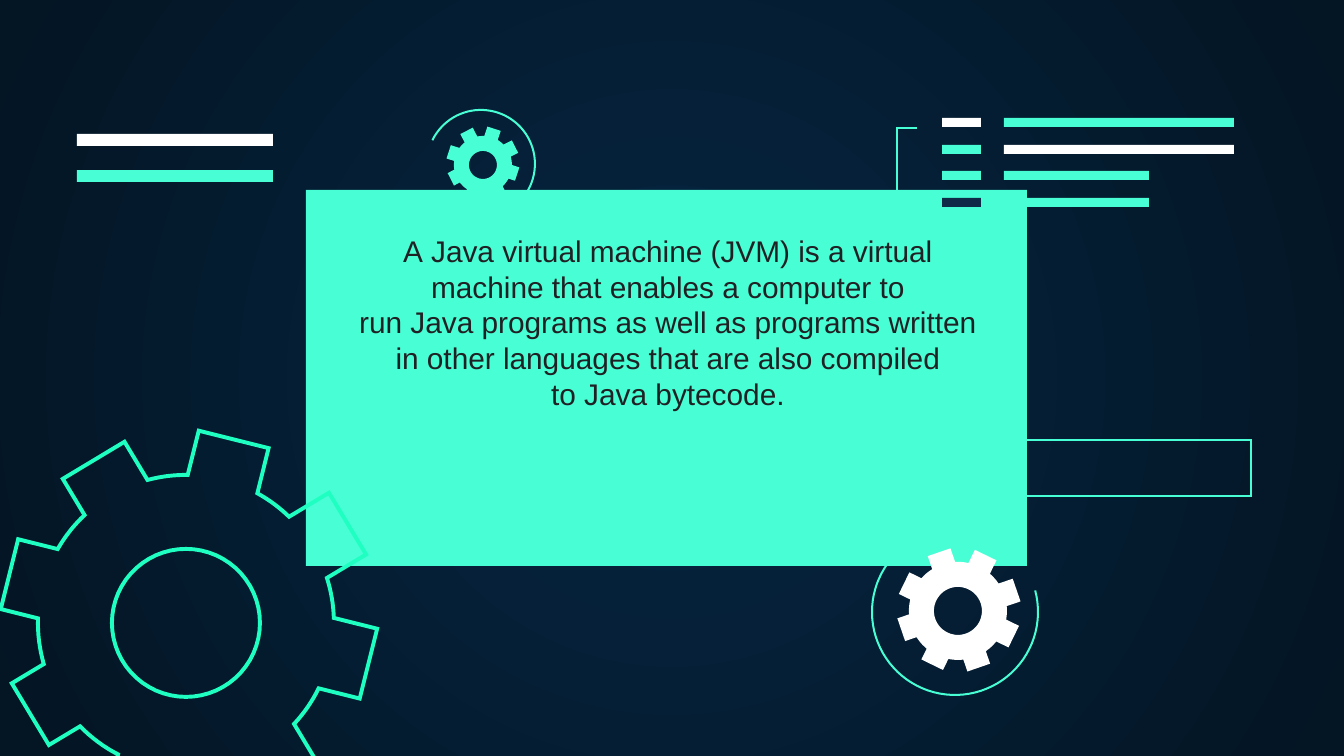
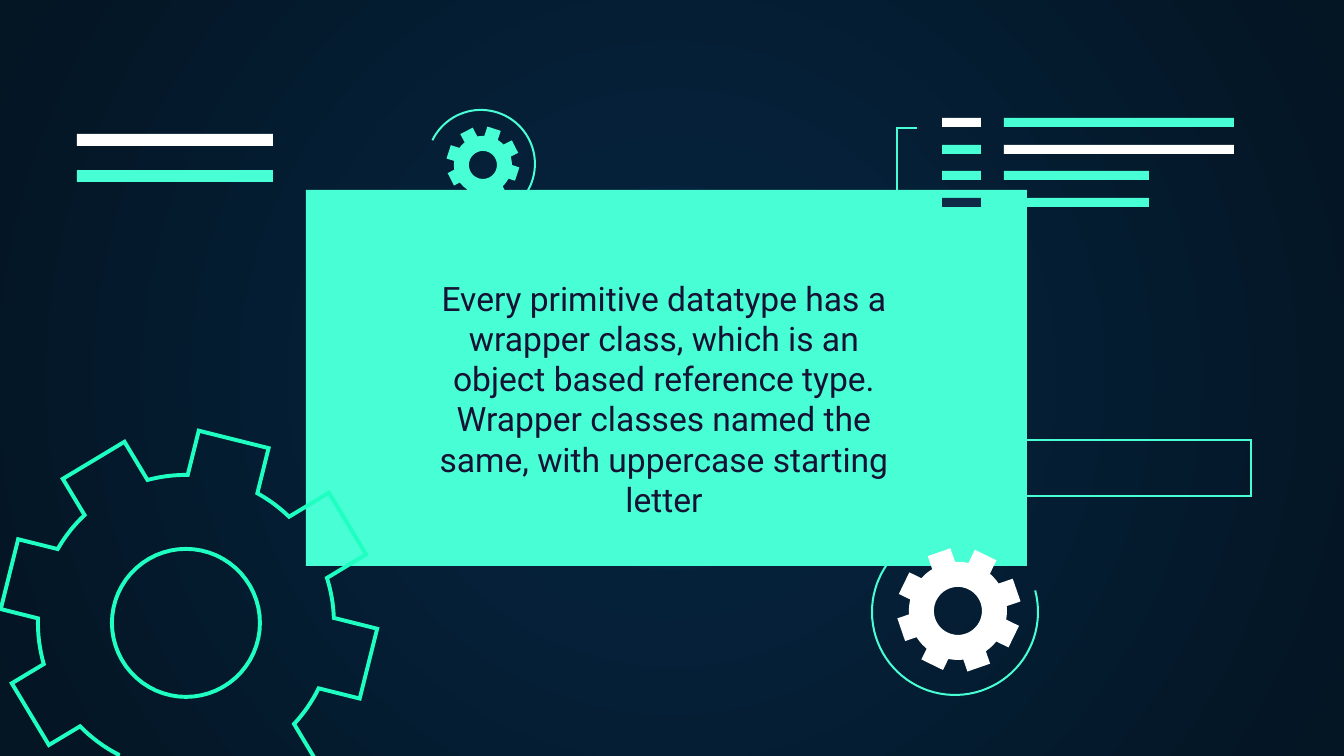
import math

import lxml.etree
import pptx
import pptx.dml.color
import pptx.enum.shapes
import pptx.enum.text
import pptx.oxml.ns
import pptx.util

PX = 9144000 / 1344
TEAL = "48FFD5"
GEAR_LINE = "1EFFC1"
WHITE = "FFFFFF"
NAVY = "0E2A47"
BACK_CENTER = "052643"
BACK_EDGE = "041523"
THIN = 1.09
CARD = (306, 190, 721, 376)
HARD_SPACE = chr(160)
JAVA = f"{HARD_SPACE}Java{HARD_SPACE}"


def px(length):
    return round(length * PX)


def rgb(color):
    return pptx.dml.color.RGBColor.from_string(color)


def style(shape, fill=None, line=None, width=THIN):
    shape.shadow.inherit = False
    if fill:
        shape.fill.solid()
        shape.fill.fore_color.rgb = rgb(fill)
    else:
        shape.fill.background()
    if line:
        shape.line.color.rgb = rgb(line)
        shape.line.width = pptx.util.Pt(width)
        stroke = shape.element.spPr.find(pptx.oxml.ns.qn("a:ln"))
        lxml.etree.SubElement(stroke, pptx.oxml.ns.qn("a:miter"), {"lim": "800000"})
    else:
        shape.line.fill.background()


def add_rect(page, box, fill=None, line=None):
    shape = page.shapes.add_shape(
        pptx.enum.shapes.MSO_SHAPE.RECTANGLE, *map(px, box)
    )
    style(shape, fill, line)


def add_outline(page, contours, close, fill=None, line=None, width=THIN):
    contours = [[(px(x), px(y)) for x, y in points] for points in contours]
    builder = page.shapes.build_freeform(*contours[0][0])
    for index, points in enumerate(contours):
        if index:
            builder.move_to(*points[0])
        builder.add_line_segments(points[1:], close=close)
    style(builder.convert_to_shape(), fill, line, width)


def arc_points(center, radius, start, end, steps=60):
    angles = [math.radians(start + (end - start) * i / steps) for i in range(steps + 1)]
    return [
        (center[0] + radius * math.cos(angle), center[1] + radius * math.sin(angle))
        for angle in angles
    ]


def tooth_side(center, hub, body, reach, offset, angle):
    ux, uy = math.cos(math.radians(angle)), math.sin(math.radians(angle))
    x, y = center[0] - uy * offset, center[1] + ux * offset
    dx, dy = x - hub[0], y - hub[1]
    along = dx * ux + dy * uy
    root = -along + math.sqrt(along**2 - dx**2 - dy**2 + body**2)
    return (x + ux * root, y + uy * root), (x + ux * reach, y + uy * reach)


def add_gear(page, center, hub, reach, body, hole, half_tooth, turn, **look):
    def direction(point):
        return math.degrees(math.atan2(point[1] - hub[1], point[0] - hub[0]))

    outline = []
    for angle in range(turn, turn + 360, 45):
        root_in, tip_in = tooth_side(center, hub, body, reach, -half_tooth, angle)
        root_out, tip_out = tooth_side(center, hub, body, reach, half_tooth, angle)
        next_root, _ = tooth_side(center, hub, body, reach, -half_tooth, angle + 45)
        start = direction(root_out)
        sweep = (direction(next_root) - start) % 360
        outline += [root_in, tip_in, tip_out]
        outline += arc_points(hub, body, start, start + sweep, 8)[:-1]
    add_outline(page, [outline, arc_points(hub, hole, 0, 360)[:-1]], True, **look)


def add_gears(page):
    add_outline(page, [arc_points((481, 164), 54, 206, 455)], False, line=TEAL)
    add_outline(page, [arc_points((955, 612), 83, -15, 233)], False, line=TEAL)
    add_gear(page, (189, 619), (186, 623), 185, 148, 74, 36, 14,
             line=GEAR_LINE, width=2.1)
    add_gear(page, (959, 610), (958, 611), 61, 49, 24, 12, 26, fill=WHITE)
    add_gear(page, (483, 163), (483, 165), 36, 29, 14, 7, 18, fill=TEAL)


def add_code_lines(page, left, top):
    rows = [(WHITE, TEAL, 230), (TEAL, WHITE, 230), (TEAL, TEAL, 145), (NAVY, TEAL, 145)]
    for row, (tag_color, line_color, width) in enumerate(rows):
        y = top + round(row * 80 / 3)
        add_rect(page, (left, y, 39, 9), tag_color)
        add_rect(page, (left + 62, y, width, 9), line_color)
    bracket = [(-24, 92), (-45, 92), (-45, 10), (-25, 10)]
    add_outline(page, [[(left + x, top + y) for x, y in bracket]], False, line=TEAL)


def add_double_bar(page, left, top):
    for row, color in enumerate([WHITE, TEAL]):
        add_rect(page, (left, top + row * 36, 196, 12), color)


def add_statement(page, box, text, font, size, color):
    frame = page.shapes.add_textbox(*map(px, box)).text_frame
    frame.word_wrap = True
    frame.margin_left = frame.margin_right = pptx.util.Inches(0.1)
    frame.margin_top = frame.margin_bottom = pptx.util.Inches(0.1)
    para = frame.paragraphs[0]
    para.text = text
    para.alignment = pptx.enum.text.PP_ALIGN.CENTER
    para.font.name = font
    para.font.size = pptx.util.Pt(size)
    para.font.color.rgb = rgb(color)


def set_background(master):
    fill = master.background.fill
    fill.gradient()
    for stop, color in zip(fill.gradient_stops, [BACK_CENTER, BACK_EDGE]):
        stop.color.rgb = rgb(color)
    qn = pptx.oxml.ns.qn
    gradient = master.element.find(".//" + qn("p:bg")).find(".//" + qn("a:gradFill"))
    gradient.remove(gradient.find(qn("a:lin")))
    circle = lxml.etree.SubElement(gradient, qn("a:path"), {"path": "circle"})
    middle = dict.fromkeys("ltrb", "50000")
    lxml.etree.SubElement(circle, qn("a:fillToRect"), middle)


def add_card_slide(deck, box, text, font, size, color):
    page = deck.slides.add_slide(deck.slide_layouts[6])
    add_rect(page, CARD, TEAL)
    add_gears(page)
    add_code_lines(page, 942, 118)
    add_double_bar(page, 77, 134)
    add_rect(page, (968, 440, 283, 56), line=TEAL)
    left, top, width, height = box
    add_statement(page, (CARD[0] + left, CARD[1] + top, width, height),
                  text, font, size, color)


def main():
    deck = pptx.Presentation()
    deck.slide_width, deck.slide_height = px(1344), px(756)
    set_background(deck.slide_master)
    add_card_slide(
        deck, (26, 29, 672, 308),
        f"A{JAVA}virtual machine (JVM) is a virtual machine that enables a computer to "
        f"run{JAVA}programs as well as programs written in other languages that are "
        f"also compiled to{JAVA}bytecode.",
        "Arial", 16, "202124",
    )
    add_card_slide(
        deck, (104, 74, 508, 208),
        "Every primitive datatype has a wrapper class, which is an object based "
        "reference type. Wrapper classes named the same, with uppercase starting letter",
        "Roboto", 18, "161234",
    )
    deck.save("out.pptx")


if __name__ == "__main__":
    main()
